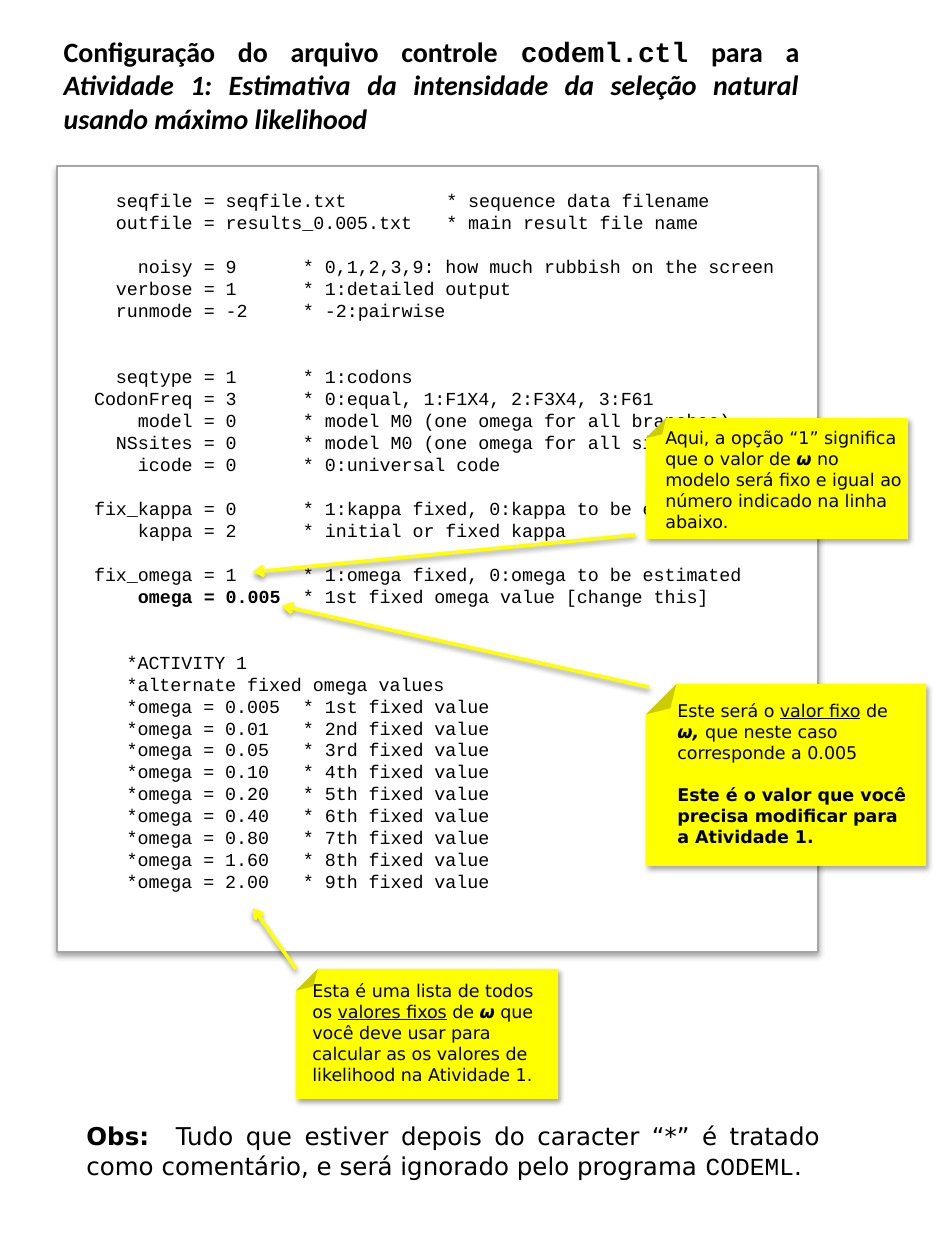
from lxml import etree
from pptx import Presentation
from pptx.dml.color import RGBColor
from pptx.enum import shapes, text
from pptx.oxml.ns import qn
from pptx.util import Emu, Pt

PX = 914400 / 126
BLACK = RGBColor(0, 0, 0)
WHITE = RGBColor(255, 255, 255)
GREY = RGBColor(0xA6, 0xA6, 0xA6)
YELLOW = RGBColor(255, 255, 0)
MONO, SANS, HEADING = "Courier New", "DejaVu Sans", "Calibri"

# Runs are (text, style): b bold, i italic, u underlined, m monospaced
TITLE = [[("Configuração do arquivo controle ", "b"), ("codeml.ctl", "bm"), (" para a ", "b"),
          ("Atividade 1: Estimativa da intensidade da seleção natural usando máximo likelihood", "bi")]]
REMARK = [[("Obs:  ", "b"),
           ("Tudo que estiver depois do caracter “*” é tratado como comentário, "
            "e será ignorado pelo programa ", ""), ("CODEML", "m"), (".", "")]]

# Option groups: (blank lines above, comment column, [(key, value, comment)])
OPTIONS = [
    (0, 36, [("seqfile", "seqfile.txt", "sequence data filename"),
             ("outfile", "results_0.005.txt", "main result file name")]),
    (1, 23, [("noisy", "9", "0,1,2,3,9: how much rubbish on the screen"),
             ("verbose", "1", "1:detailed output"),
             ("runmode", "-2", "-2:pairwise")]),
    (2, 23, [("seqtype", "1", "1:codons"),
             ("CodonFreq", "3", "0:equal, 1:F1X4, 2:F3X4, 3:F61"),
             ("model", "0", "model M0 (one omega for all branches)"),
             ("NSsites", "0", "model M0 (one omega for all sites)"),
             ("icode", "0", "0:universal code")]),
    (1, 23, [("fix_kappa", "0", "1:kappa fixed, 0:kappa to be estimated"),
             ("kappa", "2", "initial or fixed kappa")]),
    (1, 23, [("fix_omega", "1", "1:omega fixed, 0:omega to be estimated"),
             ("omega", "0.005", "1st fixed omega value [change this]")]),
]
BOLD_KEY = "omega"
ACTIVITY = ["*ACTIVITY 1", "*alternate fixed omega values"]
OMEGAS = ["0.005", "0.01", "0.05", "0.10", "0.20", "0.40", "0.80", "1.60", "2.00"]
ORDINALS = ["1st", "2nd", "3rd"] + [f"{n}th" for n in range(4, 10)]

# Notes: (paper box, text box, arrow from and to, paragraphs)
NOTES = [
    ((646, 684, 280, 182), (665, 694, 262, 183), (649, 687, 282, 606),
     [[("Este será o ", ""), ("valor fixo", "u"), (" de ", ""), ("ω, ", "bi"),
       ("que neste caso corresponde a 0.005", "")],
      [("Este é o valor que você precisa modificar para a Atividade 1.", "b")]]),
    ((646, 418, 262, 121), (653, 421, 262, 118), (635, 535, 253, 572),
     [[("Aqui, a opção “1” significa que o valor de ", ""), ("ω", "bi"),
       (" no modelo será fixo e igual ao número indicado na linha abaixo.", "")]]),
    ((296, 969, 262, 130), (300, 974, 262, 118), (296, 969, 253, 908),
     [[("Esta é uma lista de todos os ", ""), ("valores fixos", "u"), (" de ", ""), ("ω", "bi"),
       (" que você deve usar para calcular as os valores de likelihood na Atividade 1.", "")]]),
]

LISTING_SIZE, LISTING_PITCH = 10.5, 22
NOTE_PITCH = 21
CHAR = Pt(LISTING_SIZE * 0.6)


def px(*values):
    return [Emu(round(v * PX)) for v in values]


def add_shadow(shape, alpha, direction):
    effects = etree.SubElement(shape._element.spPr, qn("a:effectLst"))
    shadow = etree.SubElement(effects, qn("a:outerShdw"), blurRad=str(Pt(3.1)), dist=str(Pt(1.8)),
                              dir=str(direction * 60000), rotWithShape="0")
    color = etree.SubElement(shadow, qn("a:srgbClr"), val=str(BLACK))
    etree.SubElement(color, qn("a:alpha"), val=str(alpha * 1000))


def add_panel(preset, box, fill, line=None):
    panel = slide.shapes.add_shape(preset, *px(*box))
    panel.fill.solid()
    panel.fill.fore_color.rgb = fill
    if line is None:
        panel.line.fill.background()
    else:
        panel.line.color.rgb = line
        panel.line.width = Pt(0.75)
    return panel


def add_arrow(ends):
    arrow = slide.shapes.add_connector(shapes.MSO_CONNECTOR.STRAIGHT, *px(*ends))
    arrow.line.color.rgb = YELLOW
    arrow.line.width = Pt(2)
    etree.SubElement(arrow.line._get_or_add_ln(), qn("a:tailEnd"), type="arrow")
    add_shadow(arrow, 38, 90)


def set_tabs(paragraph, stops):
    """Put tab stops at the given (character column, alignment) pairs."""
    tabs = etree.Element(qn("a:tabLst"))
    for column, side in stops:
        etree.SubElement(tabs, qn("a:tab"), pos=str(column * CHAR), algn=side)
    paragraph._p.pPr.find(qn("a:defRPr")).addprevious(tabs)


def write(frame, paragraphs, size, font, pitch=None, align=text.PP_ALIGN.LEFT):
    """Fill a text frame; pitch is the line height and paragraph gap in px."""
    frame.word_wrap = True
    frame.auto_size = text.MSO_AUTO_SIZE.NONE
    frame.vertical_anchor = text.MSO_ANCHOR.TOP
    for index, runs in enumerate(paragraphs):
        paragraph = frame.add_paragraph() if index else frame.paragraphs[0]
        paragraph.alignment = align
        paragraph.font.size = Pt(size)
        paragraph.font.color.rgb = BLACK
        if pitch:
            paragraph.line_spacing = px(pitch)[0]
            if index:
                paragraph.space_before = px(pitch)[0]
        for content, style in runs:
            run = paragraph.add_run()
            run.text = content
            run.font.size = Pt(size)
            run.font.name = MONO if "m" in style else font
            run.font.bold = "b" in style
            run.font.italic = "i" in style
            run.font.underline = "u" in style


def listing_lines():
    """Yield (blank lines above, tab stops, runs) for each line of the control file."""
    for gap, column, options in OPTIONS:
        for index, (key, value, comment) in enumerate(options):
            style = "b" if key == BOLD_KEY else ""
            yield (0 if index else gap, [(13, "r"), (14, "l"), (column, "l")],
                   [(f"\t{key}\t= {value}", style), (f"\t* {comment}", "")])
    fixed = [f"*omega = {omega}\t* {nth} fixed value" for omega, nth in zip(OMEGAS, ORDINALS)]
    for index, line in enumerate(ACTIVITY + fixed):
        yield 0 if index else 2, [(7, "l"), (23, "l")], [("\t" + line, "")]


prs = Presentation()
prs.slide_width, prs.slide_height = px(945, 1260)
slide = prs.slides.add_slide(prs.slide_layouts[5])

title = slide.shapes.title
title.left, title.top, title.width, title.height = px(51, 28, 761, 115)
write(title.text_frame, TITLE, 16, HEADING, align=text.PP_ALIGN.JUSTIFY)

add_shadow(add_panel(shapes.MSO_SHAPE.RECTANGLE, (57, 166, 761, 786), WHITE, GREY), 35, 90)
listing = slide.shapes.add_textbox(*px(37, 183, 761, 726)).text_frame
lines = list(listing_lines())
write(listing, [runs for _, _, runs in lines], LISTING_SIZE, MONO, LISTING_PITCH)
for paragraph, (gap, stops, _) in zip(listing.paragraphs, lines):
    paragraph.space_before = px(gap * LISTING_PITCH)[0]
    set_tabs(paragraph, stops)

for paper_box, text_box, ends, paragraphs in NOTES:
    paper = add_panel(shapes.MSO_SHAPE.FOLDED_CORNER, paper_box, YELLOW)
    paper.rotation = 180
    add_shadow(paper, 35, 58)
    write(slide.shapes.add_textbox(*px(*text_box)).text_frame, paragraphs, 10, SANS, NOTE_PITCH)
    add_arrow(ends)

remark = slide.shapes.add_textbox(*px(74, 1115, 759, 72)).text_frame
write(remark, REMARK, 14, SANS, align=text.PP_ALIGN.JUSTIFY)

prs.save("out.pptx")
